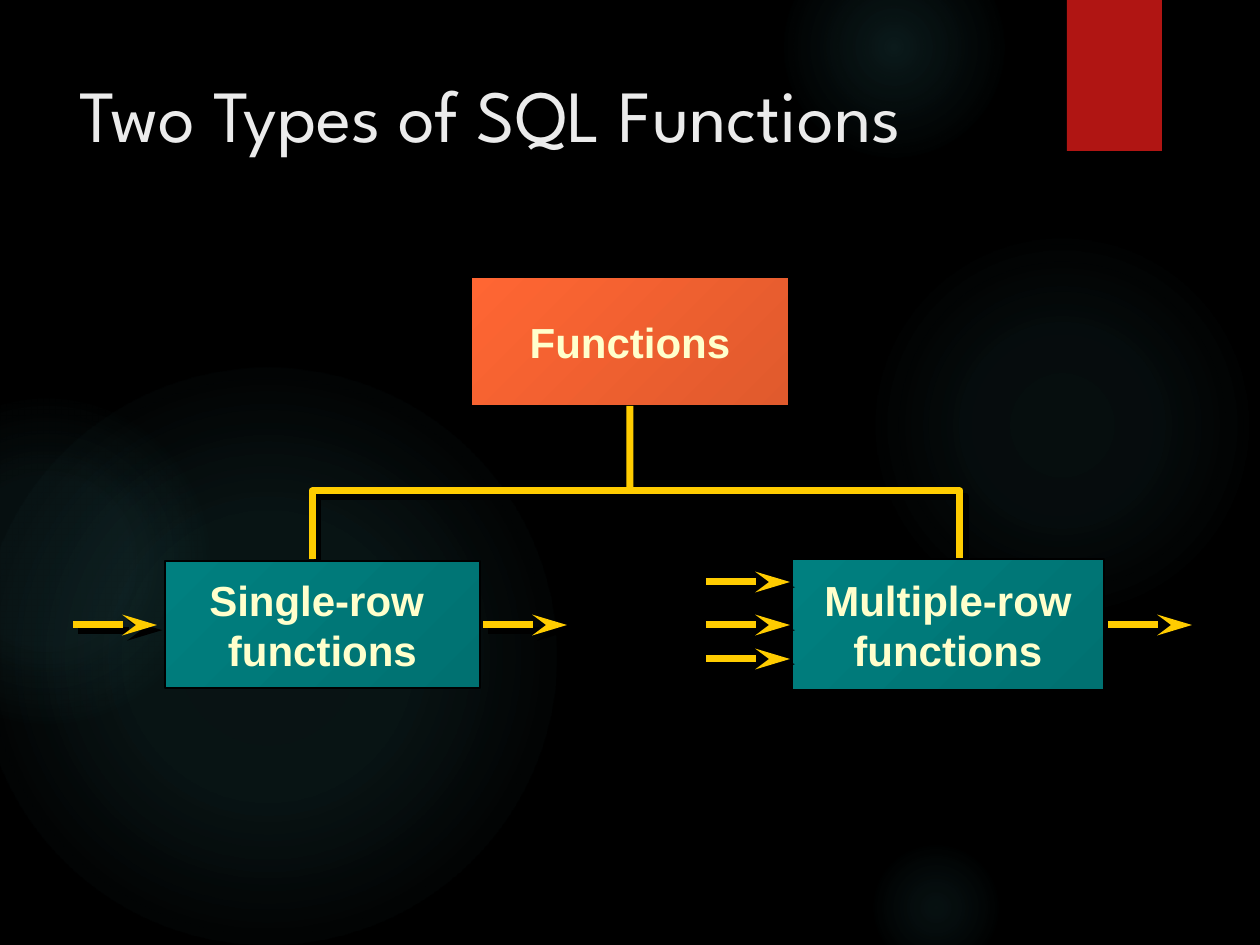
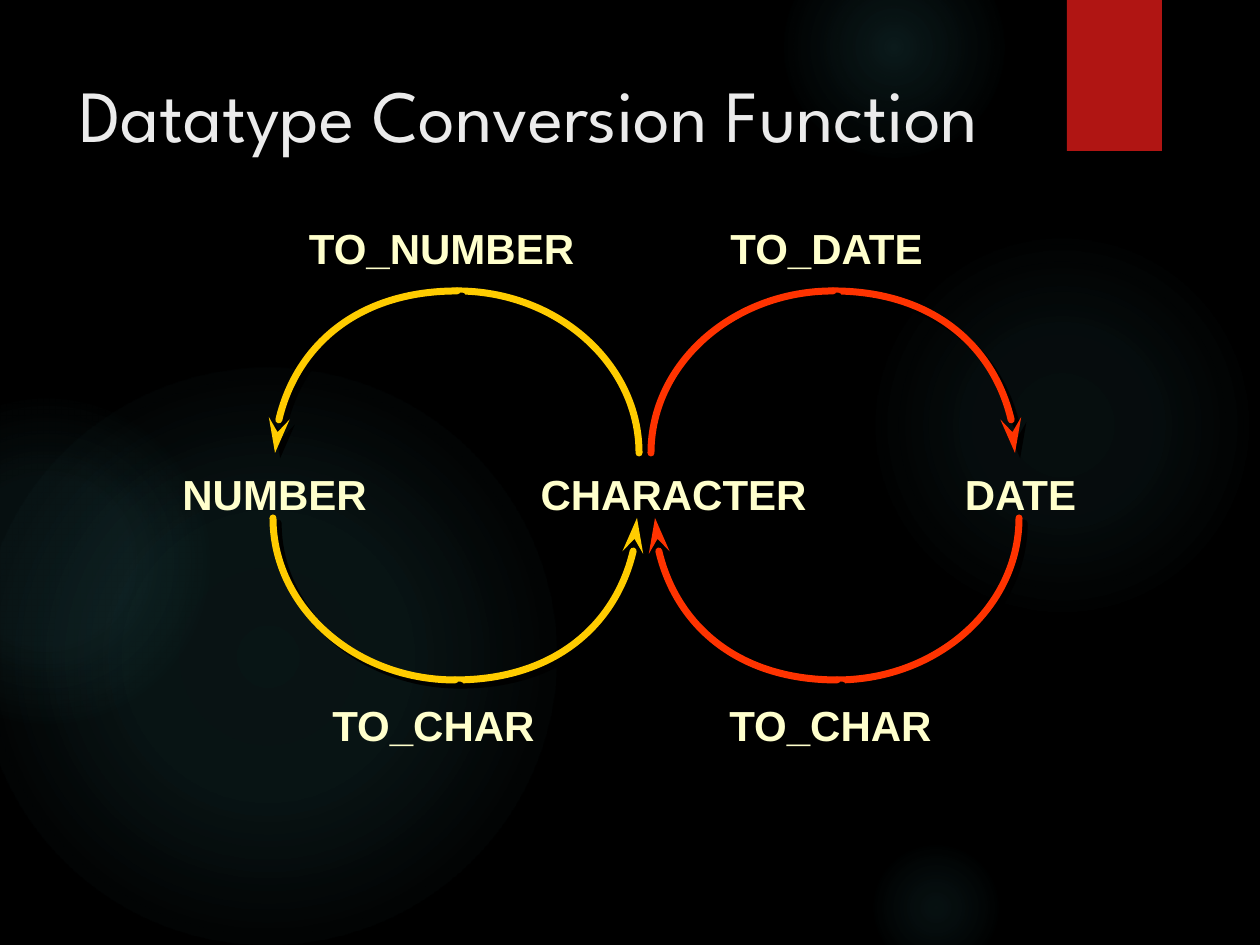
from lxml.etree import SubElement
from pptx import Presentation
from pptx.dml.color import RGBColor
from pptx.enum.shapes import MSO_CONNECTOR as Link, MSO_SHAPE as Preset
from pptx.enum.text import MSO_ANCHOR as Anchor, MSO_AUTO_SIZE as Fit, PP_ALIGN as Align
from pptx.oxml.ns import qn
from pptx.util import Emu, Pt

# Scale: 126 px to the inch
PX = 914400 / 126
BOTTOM_SIDE = 2

# Colours
BLACK = RGBColor(0x00, 0x00, 0x00)
RIBBON_RED = RGBColor(0xB0, 0x15, 0x13)
GLOW_TEAL = RGBColor(0x50, 0xB9, 0xC1)
TITLE_GREY = RGBColor(0xEB, 0xEB, 0xEB)
CREAM = RGBColor(0xFF, 0xFF, 0xCC)
YELLOW = RGBColor(0xFF, 0xCC, 0x00)
RED = RGBColor(0xFF, 0x33, 0x00)
ORANGE = (RGBColor(0xFF, 0x66, 0x33), RGBColor(0xE0, 0x5A, 0x2D))
TEAL = (RGBColor(0x00, 0x80, 0x80), RGBColor(0x00, 0x71, 0x71))

# Text formats
TITLE_FONT = {"name": "League Spartan", "size": Pt(42)}
LABEL_FONT = {"name": "Arial", "size": Pt(24), "bold": True}

# Shadows: blur and distance in points, angle in degrees, opacity in percent
LINE_SHADOW = (0, 4.2, 45, 100)
RIBBON_SHADOW = (3, 2, 90, 45)

# Glows: left, top, diameter, then (position, opacity) stops in percent
GLOWS = [
    (868, 231, 388, [(0, 7), (36, 6), (69, 0)]),
    (784, -63, 220, [(0, 14), (36, 7), (73, 0)]),
    (868, 840, 136, [(0, 9), (36, 5), (66, 0)]),
    (-21, 368, 577, [(0, 11), (36, 10), (75, 0)]),
    (-116, 399, 325, [(0, 8), (36, 8), (72, 0)]),
]

# Conversion loops
RADIUS_X, RADIUS_Y = 182, 162
CURVE = 0.55  # handle length of a quarter ellipse
UP, DOWN = -1, 1
LEFT, RIGHT = -1, 1


def px(value):
    return Emu(round(value * PX))


def add_xml(parent, tag, **attributes):
    return SubElement(parent, qn(tag), {key: str(value) for key, value in attributes.items()})


def set_shadow(shape, shadow):
    properties = shape._element.spPr
    effects = properties.find(qn("a:effectLst"))
    if effects is None:
        effects = add_xml(properties, "a:effectLst")
    blur, distance, angle, opacity = shadow
    outer = add_xml(effects, "a:outerShdw", blurRad=Pt(blur), dist=Pt(distance),
                    dir=angle * 60000, algn="ctr", rotWithShape=0)
    color = add_xml(outer, "a:srgbClr", val=BLACK)
    add_xml(color, "a:alpha", val=opacity * 1000)


def style_line(shape, color, arrow=False, round_cap=False):
    shape.line.color.rgb = color
    shape.line.width = Pt(4)
    outline = shape.line._get_or_add_ln()
    if round_cap:
        outline.set("cap", "rnd")
    add_xml(outline, "a:round")
    if arrow:
        add_xml(outline, "a:tailEnd", type="stealth", w="med", len="lg")
    set_shadow(shape, LINE_SHADOW)


def write(frame, lines, font, color, align=Align.CENTER):
    for number, line in enumerate(lines):
        para = frame.add_paragraph() if number else frame.paragraphs[0]
        para.alignment = align
        span = para.add_run()
        span.text = line
        for name, value in font.items():
            setattr(span.font, name, value)
        span.font.color.rgb = color


def add_preset(page, preset, left, top, width, height):
    shape = page.shapes.add_shape(preset, px(left), px(top), px(width), px(height))
    shape.shadow.inherit = False
    return shape


def add_glow(page, left, top, diameter, stops):
    glow = add_preset(page, Preset.OVAL, left, top, diameter, diameter)
    glow.line.fill.background()
    glow.fill.gradient()
    gradient = glow._element.spPr.find(qn("a:gradFill"))
    for child in list(gradient):
        gradient.remove(child)
    stop_list = add_xml(gradient, "a:gsLst")
    for position, opacity in stops:
        stop = add_xml(stop_list, "a:gs", pos=position * 1000)
        color = add_xml(stop, "a:srgbClr", val=GLOW_TEAL)
        add_xml(color, "a:alpha", val=opacity * 1000)
    circle = add_xml(gradient, "a:path", path="circle")
    add_xml(circle, "a:fillToRect", l=50000, t=50000, r=50000, b=50000)


def add_page(deck, title):
    page = deck.slides.add_slide(deck.slide_layouts[6])
    page.background.fill.solid()
    page.background.fill.fore_color.rgb = BLACK
    for glow in GLOWS:
        add_glow(page, *glow)
    ribbon = add_preset(page, Preset.RECTANGLE, 1067, 0, 95, 151)
    ribbon.fill.solid()
    ribbon.fill.fore_color.rgb = RIBBON_RED
    ribbon.line.fill.background()
    set_shadow(ribbon, RIBBON_SHADOW)
    frame = page.shapes.add_textbox(px(67), px(63), px(973), px(193)).text_frame
    frame.word_wrap = True
    write(frame, [title], TITLE_FONT, TITLE_GREY, Align.LEFT)
    return page


def add_box(page, left, top, width, height, lines, gradient):
    box = add_preset(page, Preset.RECTANGLE, left, top, width, height)
    box.fill.gradient()
    box.fill.gradient_angle = 315
    for stop, color in zip(box.fill.gradient_stops, gradient):
        stop.color.rgb = color
    box.line.color.rgb = BLACK
    box.line.width = Pt(1)
    box.text_frame.word_wrap = False
    box.text_frame.vertical_anchor = Anchor.MIDDLE
    write(box.text_frame, lines, LABEL_FONT, CREAM)
    return box


def add_label(page, left, top, text, width=359):
    frame = page.shapes.add_textbox(px(left), px(top), px(width), px(63)).text_frame
    frame.word_wrap = True
    frame.auto_size = Fit.SHAPE_TO_FIT_TEXT
    write(frame, [text], LABEL_FONT, CREAM)


def add_line(page, start_x, start_y, end_x, end_y, arrow=False):
    line = page.shapes.add_connector(Link.STRAIGHT, px(start_x), px(start_y), px(end_x), px(end_y))
    style_line(line, YELLOW, arrow)
    return line


def add_outline(page, points, color, **line_format):
    corners = [(px(x), px(y)) for x, y in points]
    builder = page.shapes.build_freeform(*corners[0])
    builder.add_line_segments(corners[1:], close=False)
    outline = builder.convert_to_shape()
    outline.fill.background()
    outline.shadow.inherit = False
    style_line(outline, color, **line_format)
    return outline


def bend(outline, starts_upright):
    """Turn a single straight segment into a quarter ellipse."""
    start, end = [(int(point.get("x")), int(point.get("y")))
                  for point in outline._element.iter(qn("a:pt"))]

    def between(share_x, share_y):
        shares = (share_x, share_y)
        return [round(a + share * (b - a)) for a, b, share in zip(start, end, shares)]

    if starts_upright:
        handles = [between(0, CURVE), between(1 - CURVE, 1)]
    else:
        handles = [between(CURVE, 0), between(1, 1 - CURVE)]
    segment = next(outline._element.iter(qn("a:lnTo")))
    curve = add_xml(segment.getparent(), "a:cubicBezTo")
    for x, y in [*handles, end]:
        add_xml(curve, "a:pt", x=x, y=y)
    segment.getparent().remove(segment)


def add_half_loop(page, center_x, center_y, bulge, start_side, color):
    """Draw two quarter ellipses, the right one first; the arrowhead ends the loop."""
    start = (center_x + start_side * RADIUS_X, center_y)
    crest = (center_x, center_y + bulge * RADIUS_Y)
    end = (center_x - start_side * RADIUS_X, center_y)
    for first, last in [(start, crest), (crest, end)][::start_side]:
        quarter = add_outline(page, [first, last], color, arrow=last == end, round_cap=True)
        bend(quarter, starts_upright=first == start)


def build_function_types(deck):
    page = add_page(deck, "Two Types of SQL Functions")

    # Tree
    functions = add_box(page, 471, 277, 318, 129, ["Functions"], ORANGE)
    stem = add_line(page, 630, 494, 630, 406)
    stem.end_connect(functions, BOTTOM_SIDE)
    add_outline(page, [(312, 559), (312, 491), (960, 491), (960, 564)], YELLOW)
    add_box(page, 165, 561, 315, 127, ["Single-row ", "functions"], TEAL)
    add_box(page, 792, 559, 312, 131, ["Multiple-row", "functions"], TEAL)

    # Rows going in and out
    for left, y in [(73, 625), (483, 625), (706, 625), (1108, 625), (706, 582), (706, 659)]:
        add_line(page, left, y, left + 84, y, arrow=True)


def build_conversions(deck):
    page = add_page(deck, "Datatype Conversion Function")

    # Datatypes
    add_label(page, 95, 462, "NUMBER")
    add_label(page, 494, 462, "CHARACTER")
    add_label(page, 901, 462, "DATE", width=239)

    # Loops between the datatypes
    for loop in [
        (455, 518, DOWN, LEFT, YELLOW),
        (457, 453, UP, RIGHT, YELLOW),
        (837, 518, DOWN, RIGHT, RED),
        (833, 453, UP, LEFT, RED),
    ]:
        add_half_loop(page, *loop)

    # Conversion functions
    add_label(page, 262, 216, "TO_NUMBER")
    add_label(page, 647, 216, "TO_DATE")
    add_label(page, 254, 693, "TO_CHAR")
    add_label(page, 651, 693, "TO_CHAR")


def main():
    deck = Presentation()
    deck.slide_width, deck.slide_height = px(1260), px(945)
    build_function_types(deck)
    build_conversions(deck)
    deck.save("out.pptx")


if __name__ == "__main__":
    main()
